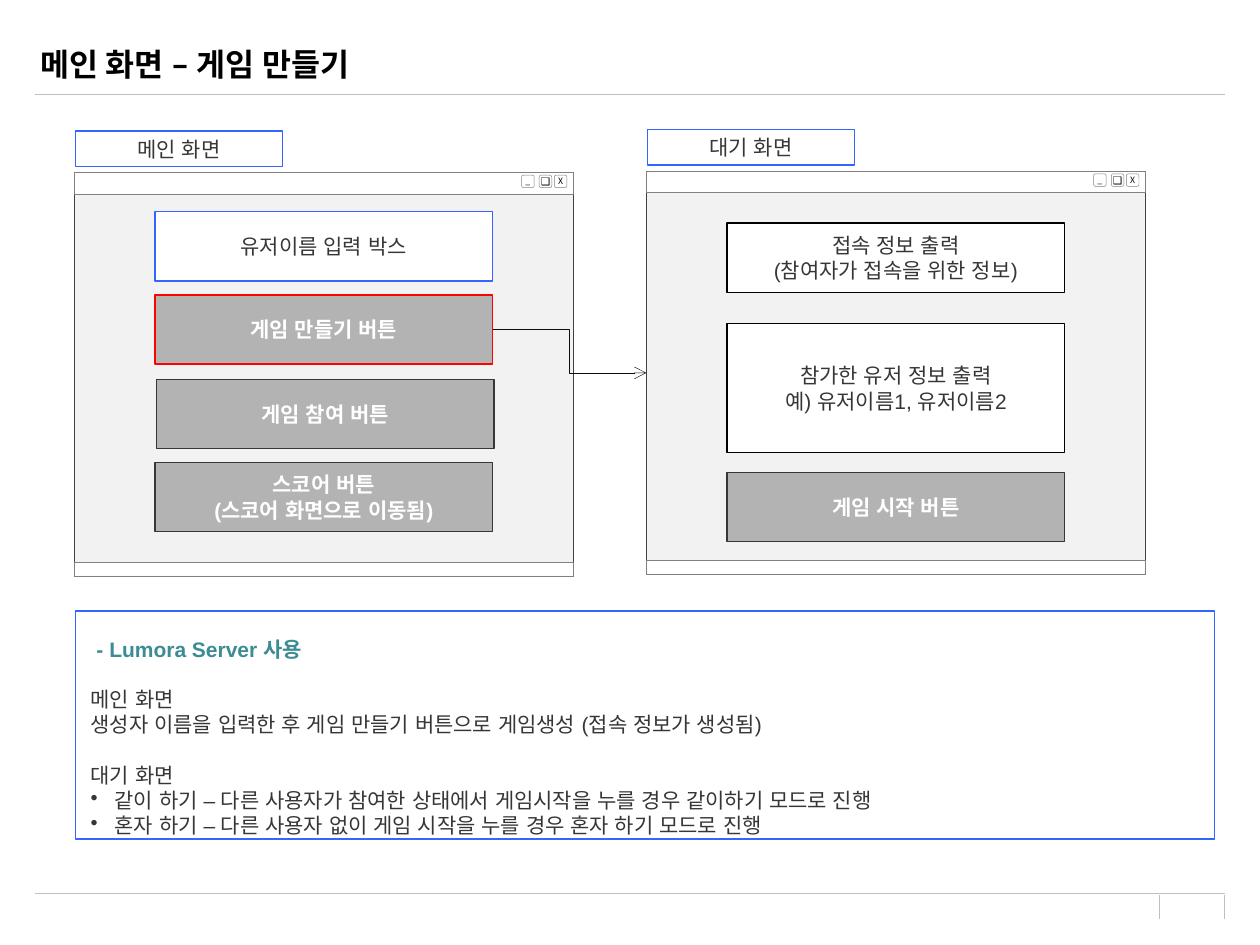
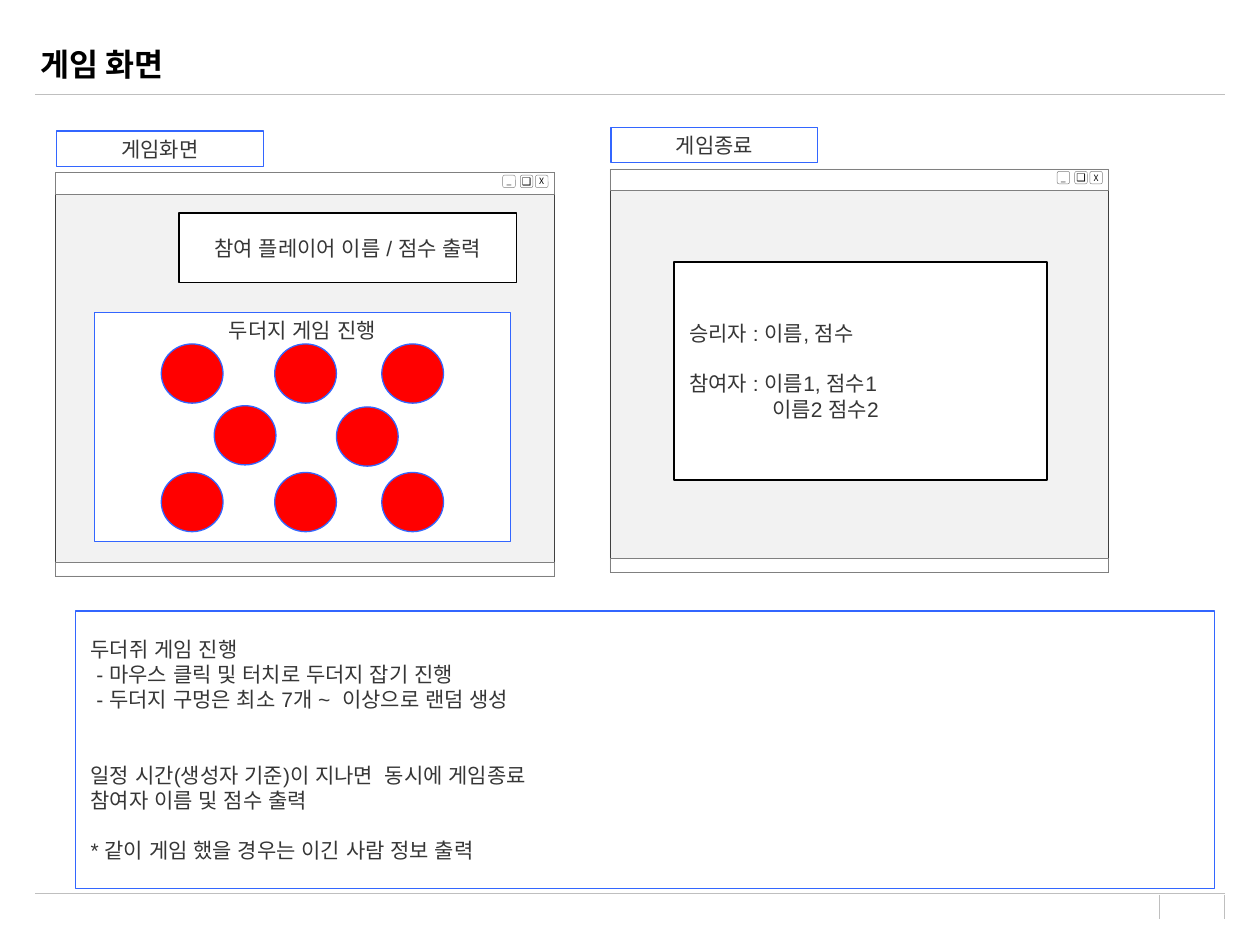
from lxml import etree
from pptx import Presentation
from pptx.dml.color import RGBColor
from pptx.enum import shapes, text
from pptx.oxml import ns
from pptx.util import Inches, Pt

BLUE, BLACK, WHITE, INK = "3366FF", "000000", "FFFFFF", "363636"
BUTTON, RULE, FRAME, SCREEN = "B3B3B3", "BFBFBF", "808080", "F2F2F2"
RED, TEAL = "FF0000", "3C8C93"
LINE_PITCH = Pt(14.4)
RECT, OVAL, ROUNDED = (shapes.MSO_SHAPE.RECTANGLE, shapes.MSO_SHAPE.OVAL,
                       shapes.MSO_SHAPE.ROUNDED_RECTANGLE)
CENTER, LEFT = text.PP_ALIGN.CENTER, text.PP_ALIGN.LEFT
MIDDLE, TOP = text.MSO_ANCHOR.MIDDLE, text.MSO_ANCHOR.TOP


def color(value):
    return RGBColor.from_string(value)


def draw_box(page, place, words="", kind=RECT, fill=WHITE, line=BLUE, weight=0.75,
             ink=INK, size=12, font="Arial", bold=False, align=CENTER, anchor=MIDDLE,
             inset=(0.12, 0.04)):
    place = [Inches(length) for length in place]
    if kind is None:
        box = page.shapes.add_textbox(*place)
    else:
        box = page.shapes.add_shape(kind, *place)
        box.shadow.inherit = False
        box.fill.solid()
        box.fill.fore_color.rgb = color(fill)
        box.line.color.rgb = color(line)
        box.line.width = Pt(weight)
    if not words:
        return box
    frame = box.text_frame
    frame.text = words
    frame.word_wrap = True
    frame.vertical_anchor = anchor
    frame.margin_left = frame.margin_right = Inches(inset[0])
    frame.margin_top = frame.margin_bottom = Inches(inset[1])
    for para in frame.paragraphs:
        para.alignment = align
        if size == 12:
            para.line_spacing = LINE_PITCH
        for span in para.runs:
            span.font.size = Pt(size)
            span.font.bold = bold
            span.font.name = font
            span.font.color.rgb = color(ink)
            etree.SubElement(span.font._element, ns.qn("a:ea"), typeface=font)
    return box


deck = Presentation()
deck.slide_width, deck.slide_height = Inches(10), Inches(7.5)

outlines = [
    ("메인 화면 – 게임 만들기",
     [(0.59, 1.37, "메인 화면"), (5.13, 1.36, "대기 화면")],
     1.81,
     ["\u0020- Lumora Server 사용",
      "메인 화면",
      "생성자 이름을 입력한 후 게임 만들기 버튼으로 게임생성 (접속 정보가 생성됨)",
      "대기 화면",
      "같이 하기 – 다른 사용자가 참여한 상태에서 게임시작을 누를 경우 같이하기 모드로 진행",
      "혼자 하기 – 다른 사용자 없이 게임 시작을 누를 경우 혼자 하기 모드로 진행"],
     {1: 1, 3: 1}),
    ("게임 화면",
     [(0.44, 1.37, "게임화면"), (4.84, 1.34, "게임종료")],
     2.2,
     ["두더쥐 게임 진행",
      " - 마우스 클릭 및 터치로 두더지 잡기 진행",
      " - 두더지 구멍은 최소 7개 ~  이상으로 랜덤 생성",
      "일정 시간(생성자 기준)이 지나면  동시에 게임종료",
      "참여자 이름 및 점수 출력",
      "* 같이 게임 했을 경우는 이긴 사람 정보 출력"],
     {3: 2, 5: 1}),
]
rules = [(0.28, 0.75, 9.72, 0.75), (0.28, 7.09, 9.72, 7.09),
         (9.72, 7.1, 9.72, 7.29), (9.2, 7.1, 9.2, 7.29)]
window_buttons = [("X", 3.81, 5), ("_", 3.55, 5), ("❑", 3.69, 6)]

pages, windows, notes = [], [], []
for title, frames, note_height, note_lines, gaps in outlines:
    page = deck.slides.add_slide(deck.slide_layouts[6])
    pages.append(page)
    for ends in rules:
        rule = page.shapes.add_connector(shapes.MSO_CONNECTOR.STRAIGHT,
                                         *[Inches(end) for end in ends])
        rule.line.color.rgb = color(RULE)
        rule.line.width = Pt(0.5)
        etree.SubElement(rule._element.spPr, ns.qn("a:effectLst"))
    draw_box(page, (0.22, 0.26, 9, 0.49), title, kind=None, ink=BLACK, size=18,
             font="Karla", bold=True, align=LEFT, inset=(0.1, 0.05))

    for left, top, label in frames:
        windows.append(draw_box(page, (left, top, 3.96, 3.2), fill=SCREEN,
                                line="404040", weight=0.25))
        for offset, height in [(0, 0.17), (3.09, 0.11)]:
            draw_box(page, (left, top + offset, 3.96, height), line=FRAME, weight=0.25)
        for symbol, offset, size in window_buttons:
            draw_box(page, (left + offset, top + 0.02, 0.1, 0.1), symbol, kind=ROUNDED,
                     line=FRAME, weight=0.25, ink=BLACK, size=size,
                     font="Noto Sans CJK KR", inset=(0, 0))
        draw_box(page, (left + 0.01, top - 0.33, 1.64, 0.28), label)

    note = draw_box(page, (0.6, 4.85, 9.04, note_height), "\n".join(note_lines),
                    align=LEFT, anchor=TOP, inset=(0.12, 0.2))
    for index, count in gaps.items():
        note.text_frame.paragraphs[index].space_before = LINE_PITCH * count
    notes.append(note)

main_page, game_page = pages

heading = notes[0].text_frame.paragraphs[0].runs[0]
heading.font.bold = True
heading.font.color.rgb = color(TEAL)
for para in notes[0].text_frame.paragraphs[-2:]:
    settings = para._p.get_or_add_pPr()
    settings.set("marL", str(Inches(0.19)))
    settings.set("indent", str(-Inches(0.19)))
    etree.SubElement(settings, ns.qn("a:buChar"), char="•")

draw_box(main_page, (1.23, 1.68, 2.68, 0.55), "유저이름 입력 박스")
draw_box(main_page, (5.77, 1.77, 2.68, 0.55),
         "접속 정보 출력\n(참여자가 접속을 위한 정보)", line=BLACK)
draw_box(main_page, (5.77, 2.57, 2.68, 1.02),
         "참가한 유저 정보 출력\n예) 유저이름1, 유저이름2", line=BLACK)
buttons = [
    (1.23, 2.34, "게임 만들기 버튼", "FE0000"),
    (1.24, 3.01, "게임 참여 버튼", INK),
    (1.23, 3.67, "스코어 버튼\n(스코어 화면으로 이동됨)", INK),
    (5.77, 3.75, "게임 시작 버튼", INK),
]
button_boxes = [draw_box(main_page, (left, top, 2.68, 0.55), words, fill=BUTTON,
                         line=line, ink=WHITE, bold=True)
                for left, top, words, line in buttons]

arrow = main_page.shapes.add_connector(shapes.MSO_CONNECTOR.ELBOW, Inches(3.91),
                                       Inches(2.61), Inches(5.13), Inches(2.96))
arrow.begin_connect(button_boxes[0], 3)
arrow.end_connect(windows[1], 1)
arrow.line.color.rgb = color("0D0D0D")
arrow.line.width = Pt(0.25)
etree.SubElement(arrow.line._get_or_add_ln(), ns.qn("a:tailEnd"), type="arrow")
etree.SubElement(arrow._element.spPr, ns.qn("a:effectLst"))

draw_box(game_page, (1.42, 1.69, 2.68, 0.55), "참여 플레이어 이름 / 점수 출력", line=BLACK)
draw_box(game_page, (0.75, 2.48, 3.3, 1.82), "두더지 게임 진행", anchor=TOP)
result = draw_box(game_page, (5.35, 2.08, 2.96, 1.73),
                  "승리자 : 이름, 점수\n참여자 : 이름1, 점수1\n이름2 점수2",
                  line=BLACK, align=LEFT)
result_lines = result.text_frame.paragraphs
result_lines[1].space_before = LINE_PITCH
result_lines[2]._p.get_or_add_pPr().set("marL", str(Inches(0.66)))

holes = [(left, top) for top in (2.73, 3.75) for left in (1.28, 2.18, 3.03)]
for left, top in holes + [(1.7, 3.22), (2.67, 3.23)]:
    draw_box(game_page, (left, top, 0.49, 0.47), kind=OVAL, fill=RED)

deck.save("out.pptx")
